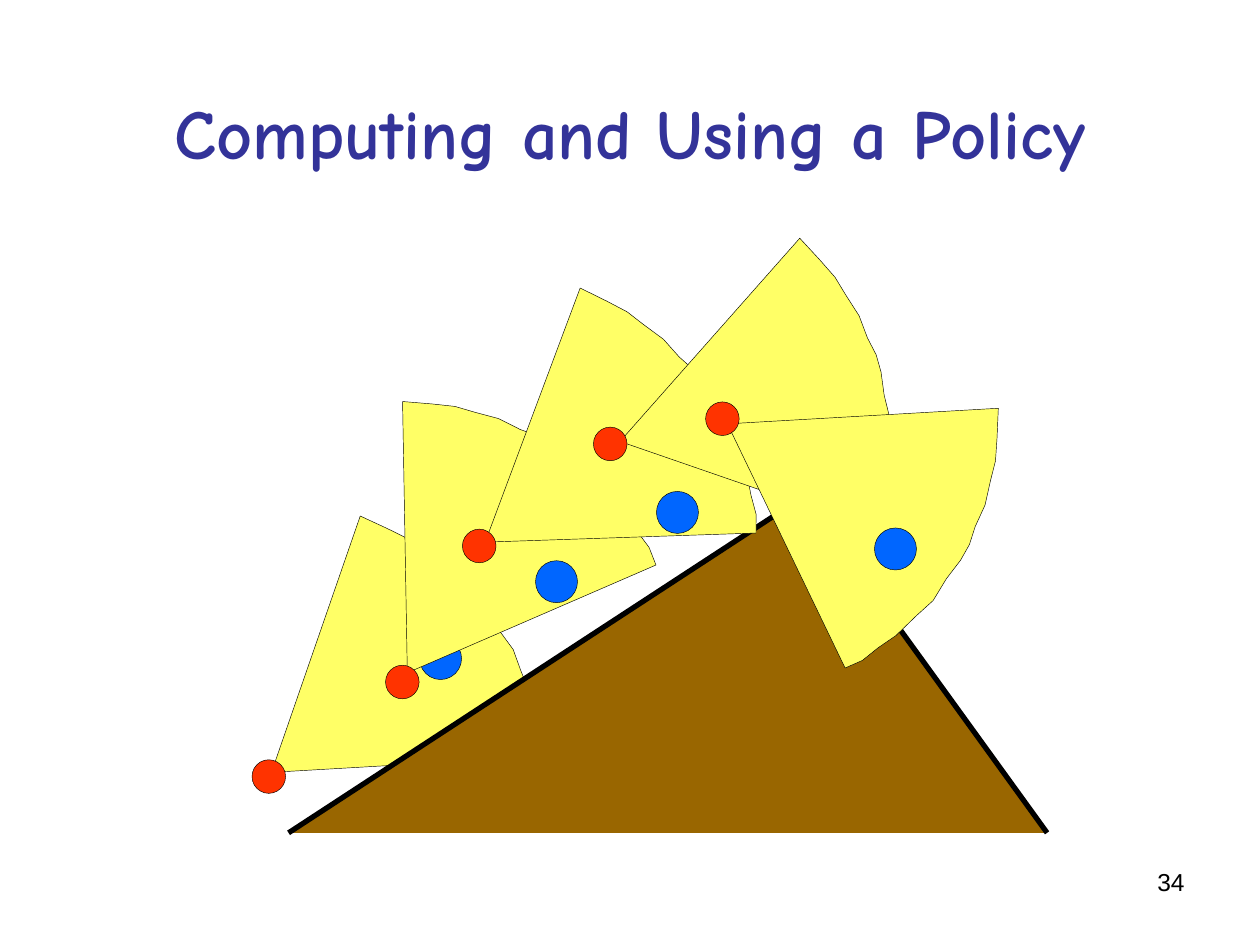
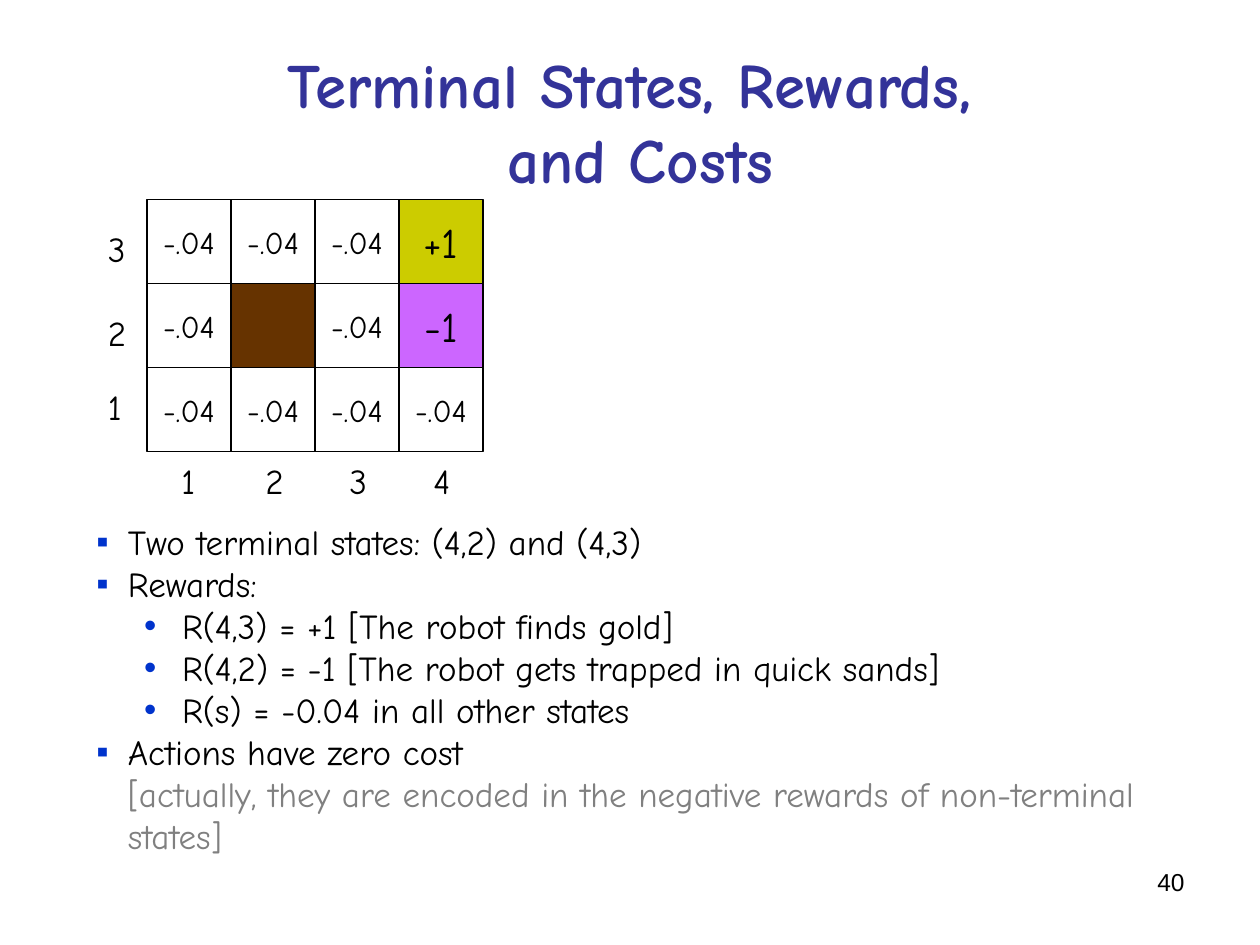
from dataclasses import dataclass

from lxml.etree import SubElement
from pptx import Presentation
from pptx.dml.color import RGBColor as Rgb
from pptx.enum.shapes import MSO_SHAPE as Preset
from pptx.enum.text import MSO_ANCHOR as Anchor, MSO_AUTO_SIZE as Fit, PP_ALIGN as Align
from pptx.oxml.ns import qn
from pptx.util import Inches, Pt


@dataclass(frozen=True)
class Theme:
    font: str = "Comic Neue"
    number_font: str = "Arial"
    ink: str = "000000"
    heading: str = "333399"
    bullet: str = "0033CC"
    aside: str = "808080"
    paper: str = "FFFFFF"
    view: str = "FFFF66"
    target: str = "0066FF"
    robot: str = "FF3300"
    mountain: str = "996600"
    obstacle: str = "663300"
    gold: str = "CCCC00"
    quicksand: str = "CC66FF"
    title_size: int = 40
    long_title_size: int = 36
    terminal_size: int = 24
    body_size: int = 20
    reward_size: int = 18
    number_size: int = 14
    hairline: float = 0.25
    cell_line: float = 0.75
    slope_line: float = 3


@dataclass(frozen=True)
class Box:
    col: float
    row: float
    cols: float
    rows: float

    def inner(self, col, row, cols, rows):
        return Box(self.col + col, self.row + row, cols, rows)

    def emu(self):
        return [cells(n) for n in (self.col, self.row, self.cols, self.rows)]


THEME = Theme()
PAGE = Box(0, 0, 120, 90)
CELL = Inches(10) / PAGE.cols
VIEW_OUTLINE = [
    (0, 24.7), (7.6, 0), (10.2, 1.1), (12.2, 2), (13.8, 3.1), (15.8, 4.4),
    (17.4, 6), (18.8, 7.1), (19.9, 8.4), (21.1, 10.3), (22.6, 12.2),
    (23.4, 14.2), (24.5, 16.7), (25, 18.7), (25.6, 20.5), (25.7, 22.3),
]
SLOPES = [(3.48, 55.32), (52.56, 23.28), (75.72, 55.32)]
STEPS = [
    ((2.28, 25.32), 2, (0, 48.36), (15.96, 36.72)),
    ((10.32, 12), -18.1, (12.72, 39.36), (27, 29.4)),
    ((22.92, 3.72), 3.4, (20.04, 26.4), (38.52, 22.8)),
    ((39, -0.24), 24.4, (32.52, 16.68), None),
    ((48.48, 11.76), 69.6, (43.2, 14.28), (59.28, 26.28)),
]
REWARDS = [
    ["-.04", "-.04", "-.04", "+1"],
    ["-.04", "", "-.04", "-1"],
    ["-.04", "-.04", "-.04", "-.04"],
]
POINTS = [
    (0, "Two terminal states: (4,2) and (4,3)"),
    (0, "Rewards:"),
    (1, "R(4,3) = +1 [The robot finds gold]"),
    (1, "R(4,2) = -1 [The robot gets trapped in quick sands]"),
    (1, "R(s) = -0.04 in all other states"),
    (0, "Actions have zero cost"),
]
ASIDE = "[actually, they are encoded in the negative rewards of non-terminal states]"
BULLETS = [("▪", 0.25, -0.25), ("•", 0.68, -0.3)]


def cells(count):
    return round(count * CELL)


def paint(shape, fill, line_width):
    shape.shadow.inherit = False
    shape.fill.solid()
    shape.fill.fore_color.rgb = Rgb.from_string(fill)
    shape.line.color.rgb = Rgb.from_string(THEME.ink)
    shape.line.width = Pt(line_width)


def write(paragraph, text, size, color=THEME.ink, font=THEME.font, bold=False):
    run = paragraph.add_run()
    run.text = text
    run.font.size = Pt(size)
    run.font.name = font
    run.font.bold = bold
    run.font.color.rgb = Rgb.from_string(color)


def text_frame(slide, box, wrap=True, anchor=Anchor.TOP):
    frame = slide.shapes.add_textbox(*box.emu()).text_frame
    frame.word_wrap = wrap
    frame.vertical_anchor = anchor
    return frame


def add_title(slide, box, lines, size):
    paragraph = text_frame(slide, box, anchor=Anchor.MIDDLE).paragraphs[0]
    paragraph.alignment = Align.CENTER
    for index, line in enumerate(lines):
        if index:
            paragraph.add_line_break()
        write(paragraph, line, size, THEME.heading, bold=True)


def add_number(slide, number):
    paragraph = text_frame(slide, PAGE.inner(86, 82, 28, 6.2)).paragraphs[0]
    paragraph.alignment = Align.RIGHT
    write(paragraph, number, THEME.number_size, font=THEME.number_font)


def add_outline(slide, box, corners, close, fill, line_width):
    corners = [(cells(x), cells(y)) for x, y in corners]
    builder = slide.shapes.build_freeform(*corners[0], scale=1.0)
    builder.add_line_segments(corners[1:], close=close)
    outline = builder.convert_to_shape(cells(box.col), cells(box.row))
    paint(outline, fill, line_width)
    return outline


def add_dot(slide, scene, place, diameter, fill):
    dot = slide.shapes.add_shape(Preset.OVAL, *scene.inner(*place, diameter, diameter).emu())
    paint(dot, fill, THEME.hairline)


def add_step(slide, scene, corner, turn, robot, target):
    frame = scene.inner(*corner, 25.7, 24.7)
    view = add_outline(slide, frame, VIEW_OUTLINE, True, THEME.view, THEME.hairline)
    view.rotation = turn
    if target:
        add_dot(slide, scene, target, 4, THEME.target)
    add_dot(slide, scene, robot, 3.2, THEME.robot)


def add_climb(slide, scene):
    first, *later = STEPS
    add_step(slide, scene, *first)
    add_outline(slide, scene, SLOPES, False, THEME.mountain, THEME.slope_line)
    for step in later:
        add_step(slide, scene, *step)


def add_axis_label(slide, box, text):
    frame = text_frame(slide, box, wrap=False)
    frame.auto_size = Fit.SHAPE_TO_FIT_TEXT
    write(frame.paragraphs[0], text, THEME.body_size)


def add_reward_grid(slide, box):
    side = box.cols / len(REWARDS[0])
    fills = {"": THEME.obstacle, "+1": THEME.gold, "-1": THEME.quicksand}
    for row, rewards in enumerate(REWARDS):
        for col, reward in enumerate(rewards):
            place = box.inner(col * side, row * side, side, side)
            state = slide.shapes.add_shape(Preset.RECTANGLE, *place.emu())
            paint(state, fills.get(reward, THEME.paper), THEME.cell_line)
            if reward:
                frame = state.text_frame
                frame.word_wrap = False
                frame.vertical_anchor = Anchor.MIDDLE
                frame.paragraphs[0].alignment = Align.CENTER
                size = THEME.terminal_size if reward in fills else THEME.reward_size
                write(frame.paragraphs[0], reward, size)
    for label, row in zip("321", (2.1, 10.1, 17.1)):
        add_axis_label(slide, box.inner(-4.9, row, 4.1, 5.3), label)
    for col, label in enumerate("1234"):
        add_axis_label(slide, box.inner(2.1 + col * side, 24.2, 4.1, 5.3), label)


def set_bullet(paragraph, level):
    mark, margin, indent = BULLETS[level]
    paragraph.level = level
    props = paragraph._p.get_or_add_pPr()
    props.set("marL", str(Inches(margin)))
    props.set("indent", str(Inches(indent)))
    color = SubElement(props, qn("a:buClr"))
    SubElement(color, qn("a:srgbClr"), val=THEME.bullet)
    SubElement(props, qn("a:buFont"), typeface=THEME.number_font)
    SubElement(props, qn("a:buChar"), char=mark)


def add_points(slide, box):
    frame = text_frame(slide, box)
    for index, (level, text) in enumerate(POINTS):
        paragraph = frame.add_paragraph() if index else frame.paragraphs[0]
        set_bullet(paragraph, level)
        write(paragraph, text, THEME.body_size)
    paragraph.add_line_break()
    write(paragraph, ASIDE, THEME.body_size, THEME.aside)


def policy_slide(slide):
    add_climb(slide, PAGE.inner(24, 24, 76, 56))
    add_title(slide, PAGE.inner(9, 5, 102, 15), ["Computing and Using a Policy"], THEME.title_size)
    add_number(slide, "34")


def rewards_slide(slide):
    title = ["Terminal States, Rewards, ", "and Costs"]
    add_title(slide, PAGE.inner(8, 4, 106, 15), title, THEME.long_title_size)
    add_points(slide, PAGE.inner(8, 49, 108, 33.2))
    add_reward_grid(slide, PAGE.inner(14, 19, 32, 24))
    add_number(slide, "40")


def main():
    deck = Presentation()
    deck.slide_width, deck.slide_height = cells(PAGE.cols), cells(PAGE.rows)
    blank = deck.slide_layouts[6]
    for build in (policy_slide, rewards_slide):
        build(deck.slides.add_slide(blank))
    deck.save("out.pptx")


if __name__ == "__main__":
    main()
